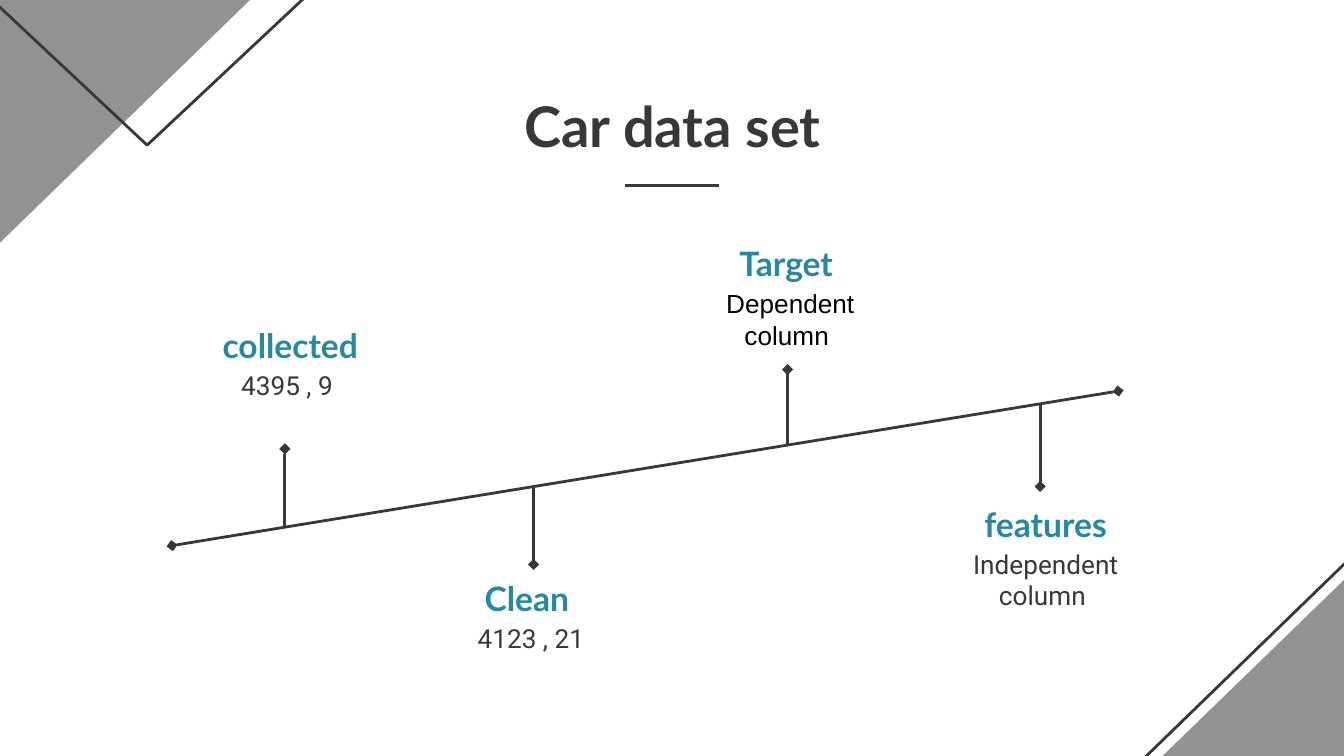
from lxml.etree import SubElement
from pptx import Presentation
from pptx.dml.color import RGBColor
from pptx.enum.shapes import MSO_CONNECTOR as CONNECTOR, MSO_SHAPE as SHAPE
from pptx.enum.text import MSO_ANCHOR as ANCHOR, MSO_AUTO_SIZE as AUTO_SIZE, PP_ALIGN as ALIGN
from pptx.oxml.ns import qn
from pptx.util import Inches, Pt

INK = RGBColor(0x38, 0x38, 0x38)
GREY = RGBColor(0x92, 0x92, 0x92)
TEAL = RGBColor(0x23, 0x89, 0xA5)
BLACK = RGBColor(0, 0, 0)

WIDTH = Inches(10)
HEIGHT = WIDTH * 9 // 16
GRID = WIDTH / 10
AXIS_START, AXIS_END = (1.28, 4.06), (8.32, 2.91)
HEADING_SIZE, DETAIL_SIZE = (1.99, 0.43), (1.42, 0.68)
DETAIL_DROP = 0.33

MILESTONES = [
    ("collected", "4395 , 9 ", "Roboto", INK, 2.12, 3.34, 2.16, 2.32),
    ("Clean ", "4123 , 21", "Roboto", INK, 3.97, 4.2, 3.95, 4.2),
    ("Target ", "Dependent column ", "Arial", BLACK, 5.86, 2.75, 5.88, 1.71),
    ("features", "Independent column ", "Roboto", INK, 7.74, 3.62, 7.78, 3.65),
]


def on_grid(*cells):
    return [round(cell * GRID) for cell in cells]


def write(holder, text, font_name, size, color, bold=False):
    frame = holder.text_frame
    frame.word_wrap = True
    frame.auto_size = AUTO_SIZE.NONE
    frame.vertical_anchor = ANCHOR.TOP
    frame.margin_left = frame.margin_right = Inches(0.1)
    frame.margin_top = frame.margin_bottom = Inches(0.1)
    frame.text = text
    paragraph = frame.paragraphs[0]
    paragraph.alignment = ALIGN.CENTER
    paragraph.space_before = Pt(0)
    font = paragraph.font
    font.name, font.size, font.bold = font_name, Pt(size), bold
    font.color.rgb = color


def add_label(slide, center, top, size, *style, **options):
    width, height = size
    label = slide.shapes.add_textbox(*on_grid(center - width / 2, top, width, height))
    write(label, *style, **options)


def add_corner(slide, preset, box, filled, turn=0):
    corner = slide.shapes.add_shape(preset, *on_grid(*box))
    corner.shadow.inherit = False
    corner.rotation = turn
    corner._element.spPr.find(qn("a:xfrm")).set("flipH", "1")
    if filled:
        corner.fill.solid()
        corner.fill.fore_color.rgb = GREY
        corner.line.fill.background()
    else:
        corner.fill.background()
        corner.line.color.rgb = INK
        corner.line.width = Pt(1.5)


def add_rule(slide, start, end, diamonds=()):
    rule = slide.shapes.add_connector(CONNECTOR.STRAIGHT, *on_grid(*start, *end))
    rule.line.color.rgb = INK
    rule.line.width = Pt(1.5)
    for line_end in diamonds:
        SubElement(rule.line._get_or_add_ln(), qn("a:" + line_end), type="diamond")
    SubElement(rule._element.spPr, qn("a:effectLst"))


def axis_height(x):
    (x1, y1), (x2, y2) = AXIS_START, AXIS_END
    return y1 + (x - x1) * (y2 - y1) / (x2 - x1)


def add_milestone(slide, heading, detail, font_name, color, x, tip, center, top):
    add_label(slide, center, top, HEADING_SIZE, heading, "Lato", 18, TEAL, bold=True)
    add_label(slide, center, top + DETAIL_DROP, DETAIL_SIZE, detail, font_name, 14, color)
    add_rule(slide, (x, axis_height(x)), (x, tip), ["tailEnd"])


def add_title(slide, text):
    title = slide.shapes.title
    title.left, title.top, title.width, title.height = on_grid(0.98, 0.58, 8.05, 0.58)
    write(title, text, "Lato", 30, INK, bold=True)
    add_rule(slide, (4.65, 1.38), (5.35, 1.38))


def main():
    deck = Presentation()
    deck.slide_width, deck.slide_height = WIDTH, HEIGHT
    slide = deck.slides.add_slide(deck.slide_layouts[5])
    add_corner(slide, SHAPE.RIGHT_TRIANGLE, (7.68, 2.84, 3.72, 3.61), False)
    add_corner(slide, SHAPE.RIGHT_TRIANGLE, (7.8, 2.84, 3.72, 3.61), True)
    add_corner(slide, SHAPE.RIGHT_TRIANGLE, (-0.83, -1, 3.72, 3.61), True, turn=180)
    add_corner(slide, SHAPE.ISOSCELES_TRIANGLE, (-1.84, -1.67, 5.87, 2.75), False, turn=180)
    add_title(slide, "Car data set")
    for milestone in MILESTONES:
        add_milestone(slide, *milestone)
    add_rule(slide, AXIS_END, AXIS_START, ["headEnd", "tailEnd"])
    deck.save("out.pptx")


main()
